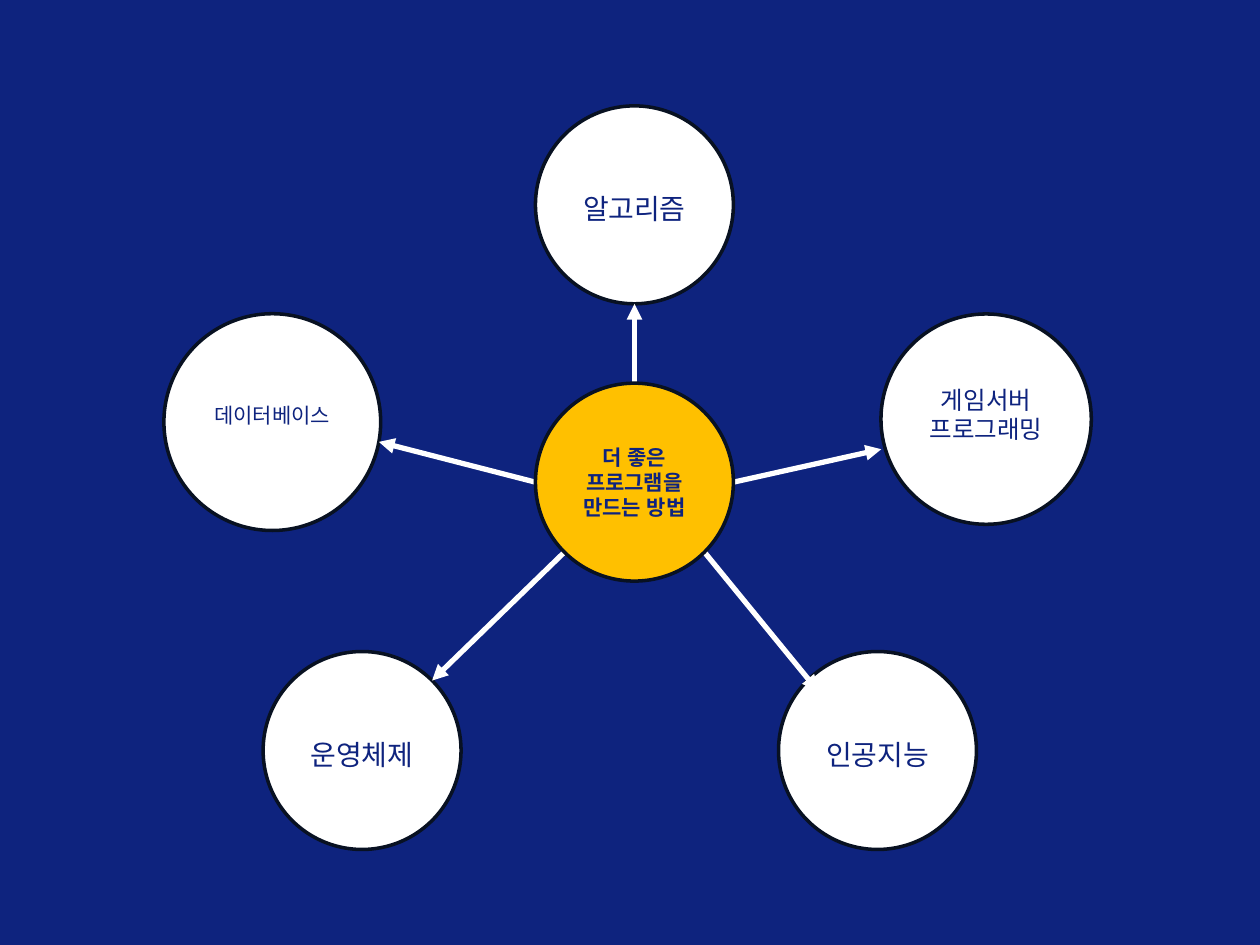
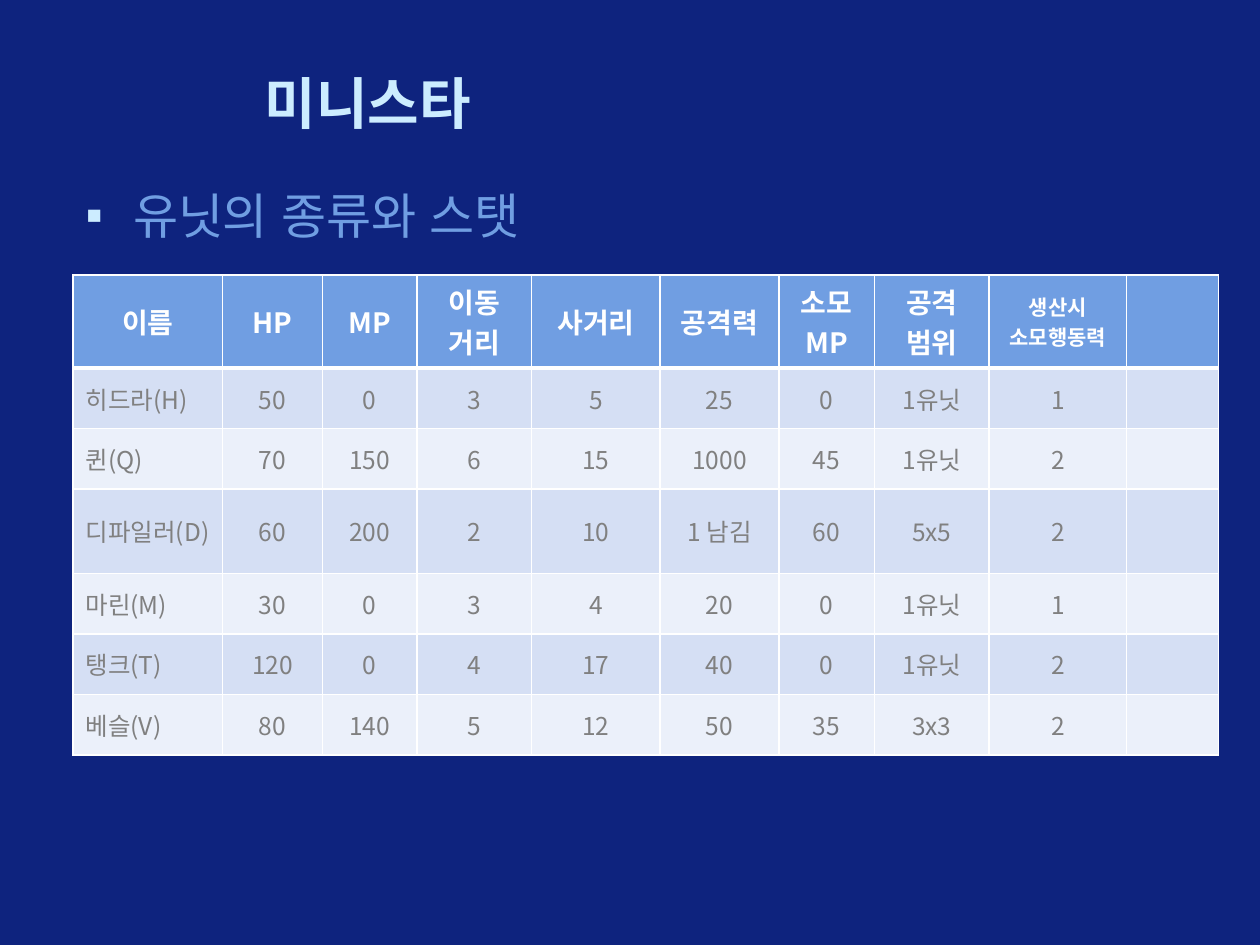
from dataclasses import dataclass
from math import cos, radians, sin

from lxml import etree
from pptx import Presentation
from pptx import util as u
from pptx.dml.color import RGBColor
from pptx.enum import shapes, text
from pptx.oxml import ns


@dataclass(frozen=True)
class Theme:
    background: str = "0E237E"
    outline: str = "081122"
    white: str = "FFFFFF"
    hub: str = "FFC000"
    title: str = "CCECFF"
    accent: str = "709EE2"
    cell_text: str = "808080"
    bands: tuple = ("D5DFF4", "EBF0FA")
    font: str = "Arial"
    table_font: str = "Noto Sans CJK KR"
    title_size: int = 32
    body_size: int = 28
    large: int = 16
    medium: int = 14
    small: int = 12


THEME = Theme()


@dataclass(frozen=True)
class Circle:
    label: str
    x: float
    y: float
    diameter: float
    size: int
    text_shift: float = 0

    def rim_point(self, angle, inset=0):
        radius = self.diameter / 2 - inset
        return (u.Cm(self.x + radius * cos(radians(angle))),
                u.Cm(self.y + radius * sin(radians(angle))))


HUB = Circle("더 좋은 프로그램을 만드는 방법", 12.79, 9.72, 3.99, THEME.small)

# Topic circle, angle leaving the hub, angle reaching the topic, depth inside it
TOPICS = [
    (Circle("알고리즘", 12.79, 4.13, 3.99, THEME.large, 0.08), -90, 90, 0),
    (Circle("운영체제", 7.3, 15.13, 3.99, THEME.large, 0.08), 135, -45, 0),
    (Circle("데이터베이스", 5.49, 8.51, 4.37, THEME.small, -0.14), 180, 10.5, 0),
    (Circle("인공지능", 17.69, 15.13, 3.99, THEME.large, 0.08), 45, -135, 0.3),
    (Circle("게임서버 프로그래밍", 19.88, 8.45, 4.24, THEME.medium, -0.1),
     0, 164, -0.08),
]

COLUMN_WIDTHS = [3.02, 2.01, 1.91, 2.31, 2.59, 2.39, 1.93, 2.31, 2.77, 1.85]
HEADER = ["이름", "HP", "MP", "이동\n거리", "사거리", "공격력", "소모MP",
          "공격\n범위", "생산시 소모행동력", ""]
UNITS = [
    ["히드라(H)", "50", "0", "3", "5", "25", "0", "1유닛", "1", ""],
    ["퀸(Q)", "70", "150", "6", "15", "1000", "45", "1유닛", "2", ""],
    ["디파일러(D)", "60", "200", "2", "10", "1 남김", "60", "5x5", "2", ""],
    ["마린(M)", "30", "0", "3", "4", "20", "0", "1유닛", "1", ""],
    ["탱크(T)", "120", "0", "4", "17", "40", "0", "1유닛", "2", ""],
    ["베슬(V)", "80", "140", "5", "12", "50", "35", "3x3", "2", ""],
]


def rgb(value):
    return RGBColor.from_string(value)


def add_element(parent, tag, **attributes):
    return etree.SubElement(parent, ns.qn(tag), attributes)


def add_run(paragraph, words, size, color, bold=False, font=THEME.font):
    run = paragraph.add_run()
    run.text = words
    run.font.size = u.Pt(size)
    run.font.bold = bold
    run.font.color.rgb = rgb(color)
    run.font.name = font
    add_element(run.font._element, "a:ea", typeface=font)


def fill_solid(fill, color):
    fill.solid()
    fill.fore_color.rgb = rgb(color)


# Diagram parts
def add_circle(slide, circle, color, bold=False):
    corner = [u.Cm(centre - circle.diameter / 2) for centre in (circle.x, circle.y)]
    diameter = u.Cm(circle.diameter)
    shape = slide.shapes.add_shape(shapes.MSO_SHAPE.OVAL, *corner, diameter, diameter)
    shape.shadow.inherit = False
    fill_solid(shape.fill, color)
    shape.line.color.rgb = rgb(THEME.outline)
    shape.line.width = u.Pt(2)
    frame = shape.text_frame
    frame.word_wrap = True
    frame.vertical_anchor = text.MSO_ANCHOR.MIDDLE
    frame.margin_top = u.Cm(0.13 + max(0, 2 * circle.text_shift))
    frame.margin_bottom = u.Cm(0.13 + max(0, -2 * circle.text_shift))
    paragraph = frame.paragraphs[0]
    paragraph.alignment = text.PP_ALIGN.CENTER
    add_run(paragraph, circle.label, circle.size, THEME.background, bold)


def add_arrow(slide, start, end):
    connector = slide.shapes.add_connector(
        shapes.MSO_CONNECTOR.STRAIGHT, *start, *end)
    connector.line.color.rgb = rgb(THEME.white)
    connector.line.width = u.Pt(3)
    properties = connector._element.spPr
    add_element(properties.find(ns.qn("a:ln")), "a:tailEnd", type="triangle")
    add_element(properties, "a:effectLst")


# Placeholder text
def place(placeholder, left, top, width, height):
    placeholder.left, placeholder.top = u.Cm(left), u.Cm(top)
    placeholder.width, placeholder.height = u.Cm(width), u.Cm(height)
    frame = placeholder.text_frame
    frame.word_wrap = True
    frame.auto_size = text.MSO_AUTO_SIZE.NONE
    paragraph = frame.paragraphs[0]
    paragraph.alignment = text.PP_ALIGN.LEFT
    return paragraph


def set_title(slide, words):
    paragraph = place(slide.shapes.title, 5.08, 1.27, 19.25, 1.57)
    slide.shapes.title.text_frame.vertical_anchor = text.MSO_ANCHOR.MIDDLE
    add_run(paragraph, words, THEME.title_size, THEME.title, bold=True)


def set_bullet(slide, words):
    paragraph = place(slide.placeholders[1], 1.47, 3.61, 23.06, 13.13)
    properties = paragraph._p.get_or_add_pPr()
    properties.set("marL", str(u.Cm(0.96)))
    properties.set("indent", str(-u.Cm(0.96)))
    color = add_element(properties, "a:buClr")
    add_element(color, "a:srgbClr", val=THEME.title)
    add_element(properties, "a:buFont", typeface=THEME.font)
    add_element(properties, "a:buChar", char="▪")
    add_run(paragraph, words, THEME.body_size, THEME.accent)


# Table parts
def set_borders(cell, top, bottom):
    properties = cell._tc.get_or_add_tcPr()
    for side, width in zip("LRTB", (1, 1, top, bottom)):
        line = add_element(properties, f"a:ln{side}", w=str(u.Pt(width)))
        fill = add_element(line, "a:solidFill")
        add_element(fill, "a:srgbClr", val=THEME.white)


def fill_cell(cell, words, row, column):
    is_header = row == 0
    set_borders(cell, 3 if row == 1 else 1, 3 if is_header else 1)
    fill_solid(cell.fill, THEME.accent if is_header else THEME.bands[(row - 1) % 2])
    cell.vertical_anchor = text.MSO_ANCHOR.MIDDLE
    if not words:
        return
    size = THEME.large if is_header else THEME.medium
    if is_header and column == 8:
        size = THEME.small
    color = THEME.white if is_header else THEME.cell_text
    centred = is_header or column > 0
    frame = cell.text_frame
    for index, line in enumerate(words.split("\n")):
        paragraph = frame.add_paragraph() if index else frame.paragraphs[0]
        paragraph.alignment = (text.PP_ALIGN.CENTER if centred
                               else text.PP_ALIGN.LEFT)
        add_run(paragraph, line, size, color, is_header, THEME.table_font)


def add_unit_table(slide):
    rows = [HEADER, *UNITS]
    table = slide.shapes.add_table(
        len(rows), len(HEADER), u.Cm(1.47), u.Cm(5.54),
        u.Cm(sum(COLUMN_WIDTHS)), u.Cm(8.82)).table
    for column, width in zip(table.columns, COLUMN_WIDTHS):
        column.width = u.Cm(width)
    for row_index, values in enumerate(rows):
        table.rows[row_index].height = u.Cm(1.22 if row_index else 1.5)
        for column_index, words in enumerate(values):
            fill_cell(table.cell(row_index, column_index), words,
                      row_index, column_index)


# Slides
def build_topics_slide(presentation):
    slide = presentation.slides.add_slide(presentation.slide_layouts[6])
    for circle, *_ in TOPICS:
        add_circle(slide, circle, THEME.white)
    for circle, leaving, reaching, inset in TOPICS:
        add_arrow(slide, HUB.rim_point(leaving), circle.rim_point(reaching, inset))
    add_circle(slide, HUB, THEME.hub, bold=True)


def build_units_slide(presentation):
    slide = presentation.slides.add_slide(presentation.slide_layouts[1])
    set_title(slide, "미니스타")
    set_bullet(slide, "유닛의 종류와 스탯")
    add_unit_table(slide)


def main():
    presentation = Presentation()
    presentation.slide_width, presentation.slide_height = u.Cm(25.4), u.Cm(19.05)
    fill_solid(presentation.slide_master.background.fill, THEME.background)
    build_topics_slide(presentation)
    build_units_slide(presentation)
    presentation.save("out.pptx")


if __name__ == "__main__":
    main()
